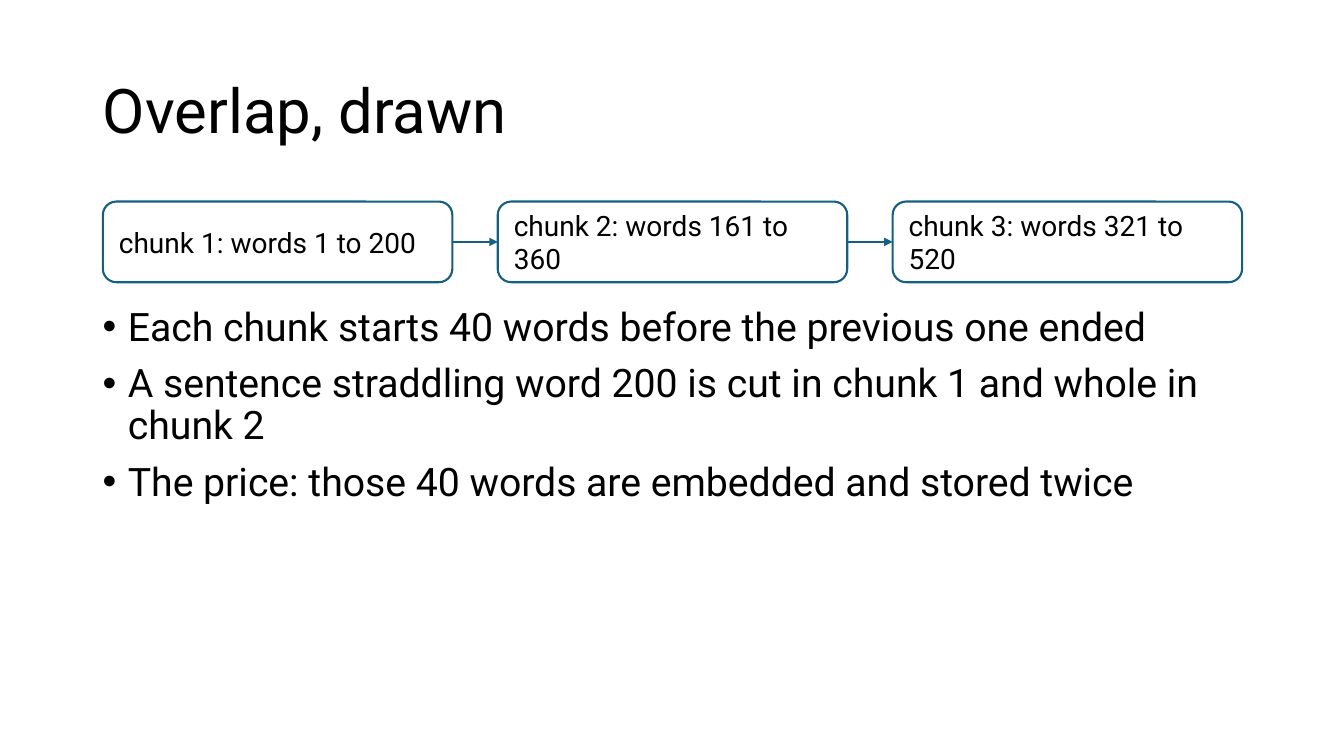
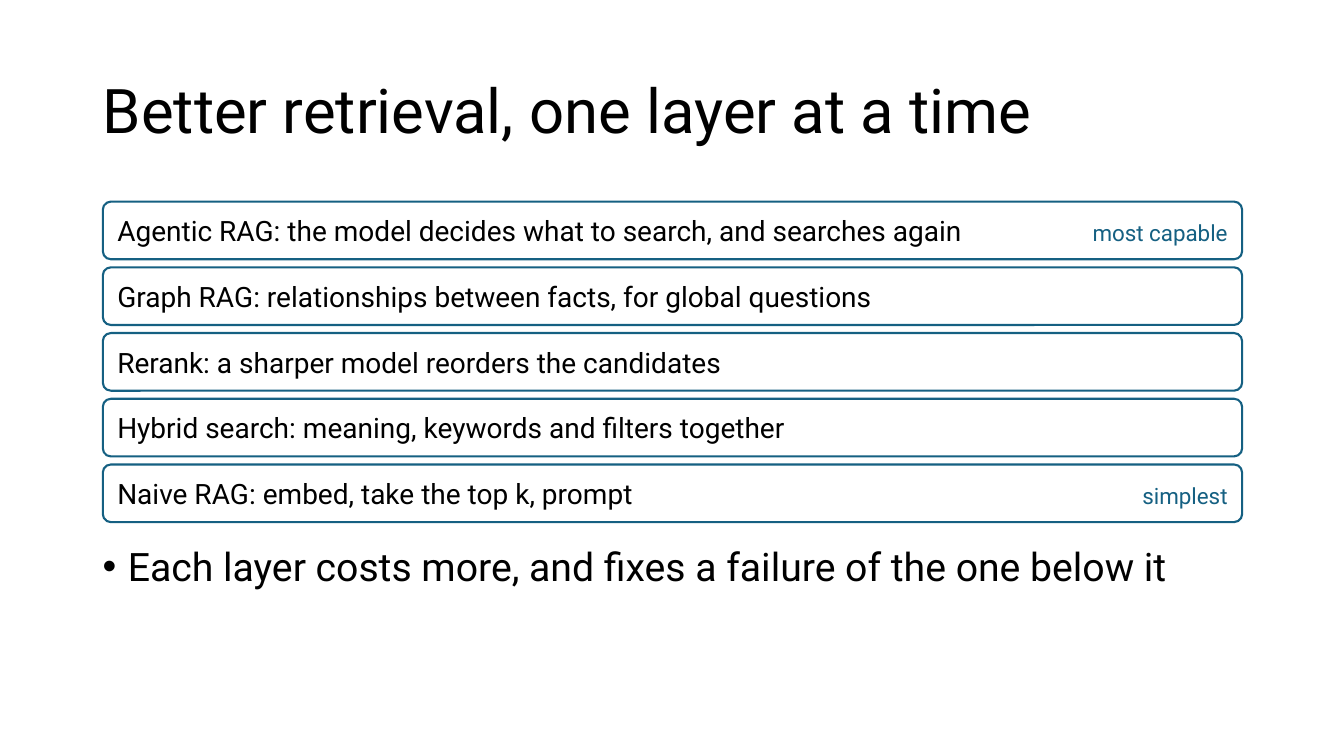
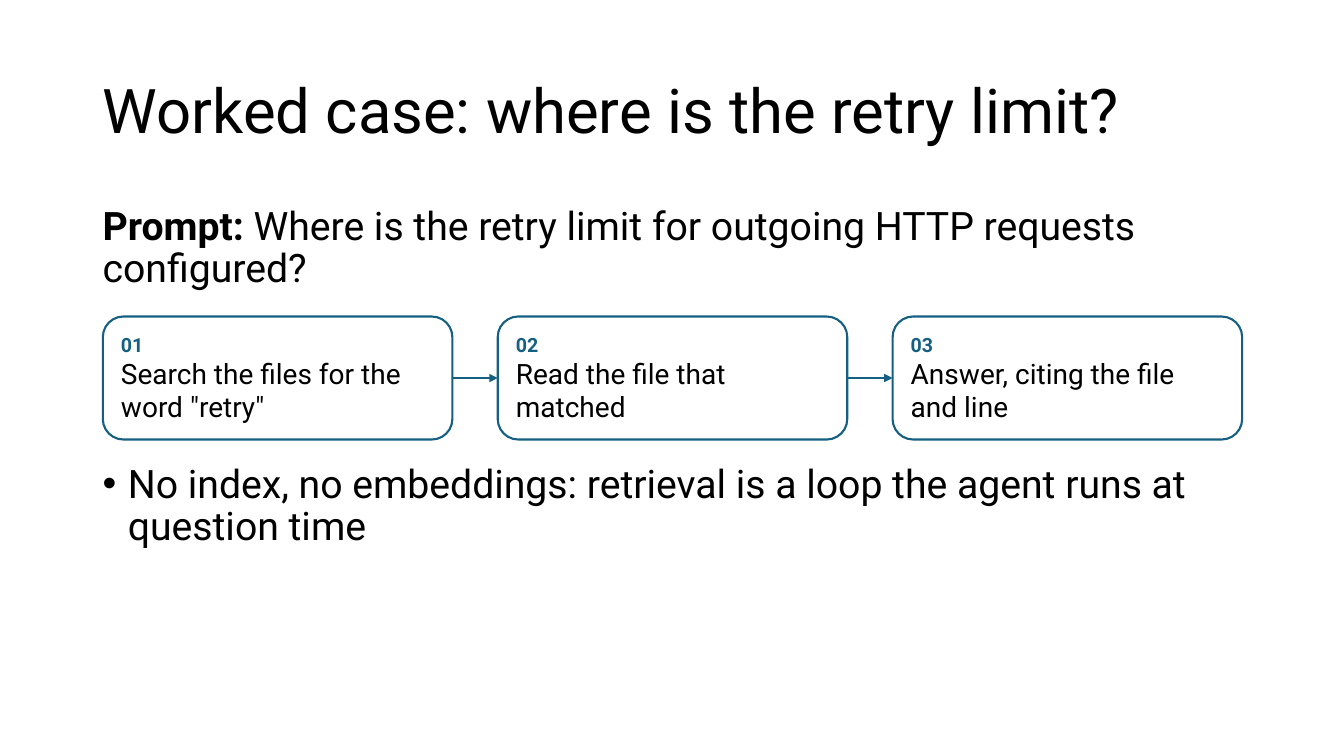
import lxml.etree
import pptx
import pptx.dml.color
import pptx.enum.shapes
import pptx.enum.text
import pptx.oxml.ns
import pptx.util

INK = pptx.dml.color.RGBColor(0x00, 0x00, 0x00)
PAPER = pptx.dml.color.RGBColor(0xFF, 0xFF, 0xFF)
ACCENT = pptx.dml.color.RGBColor(0x15, 0x60, 0x82)
FONT = "Roboto"

PAGE_WIDTH, PAGE_HEIGHT = 13.33, 7.5
TEXT_LEFT, TEXT_WIDTH = 0.92, 11.5
GRID_LEFT, GRID_WIDTH = 1.02, 11.3
CONTENT_TOP, CONTENT_BOTTOM = 2, 6.76
BLOCK_GAP, CARD_GAP, LAYER_GAP = 0.2, 0.45, 0.08
INSET_X, INSET_Y = 0.12, 0.06
INDENT = 0.25


def inches(*lengths):
    """Convert lengths in inches to drawing units."""
    return [pptx.util.Inches(length) for length in lengths]


def add_xml(parent, tag, **attributes):
    """Append a DrawingML element and return it."""
    values = {name: str(value) for name, value in attributes.items()}
    return lxml.etree.SubElement(parent, pptx.oxml.ns.qn(tag), values)


def add_span(para, text, *, size=20, color=INK, bold=False):
    """Add a run of formatted text to a paragraph."""
    span = para.add_run()
    span.text = text
    span.font.name = FONT
    span.font.size = pptx.util.Pt(size)
    span.font.color.rgb = color
    span.font.bold = bold


def next_para(frame, first):
    """Return the paragraph to fill, left aligned."""
    para = frame.paragraphs[0] if first else frame.add_paragraph()
    para.alignment = pptx.enum.text.PP_ALIGN.LEFT
    return para


def add_page(deck, title):
    """Add a title-only slide with the shared title style."""
    page = deck.slides.add_slide(deck.slide_layouts[5])
    box = page.shapes.title
    box.left, box.top, box.width, box.height = inches(TEXT_LEFT, 0.4, TEXT_WIDTH, 1.45)
    frame = box.text_frame
    frame.auto_size = pptx.enum.text.MSO_AUTO_SIZE.NONE
    frame.vertical_anchor = pptx.enum.text.MSO_ANCHOR.MIDDLE
    para = next_para(frame, True)
    para.line_spacing = 0.9
    add_span(para, title, size=44)
    return page


def add_body(page, top, bottom, paragraphs, bulleted=True):
    """Add body text, each paragraph a list of (text, bold) spans."""
    box = page.shapes.add_textbox(*inches(TEXT_LEFT, top, TEXT_WIDTH, bottom - top))
    frame = box.text_frame
    frame.word_wrap = True
    for index, spans in enumerate(paragraphs):
        para = next_para(frame, index == 0)
        if bulleted:
            properties = para._p.get_or_add_pPr()
            properties.set("marL", str(pptx.util.Inches(INDENT)))
            properties.set("indent", str(-pptx.util.Inches(INDENT)))
            add_xml(properties, "a:buFont", typeface="Arial")
            add_xml(properties, "a:buChar", char="•")
        para.line_spacing = 0.9
        if index:
            para.space_before = pptx.util.Pt(10)
        for text, bold in spans:
            add_span(para, text, size=28, bold=bold)


def add_bullets(page, top, *lines):
    """Add bulleted lines down to the foot of the content area."""
    add_body(page, top, CONTENT_BOTTOM, [[(line, False)] for line in lines])


def add_panel(group, left, top, width, height):
    """Add an outlined rounded panel for text."""
    kind = pptx.enum.shapes.MSO_SHAPE.ROUNDED_RECTANGLE
    panel = group.shapes.add_shape(kind, *inches(left, top, width, height))
    panel.shadow.inherit = False
    panel.fill.solid()
    panel.fill.fore_color.rgb = PAPER
    panel.line.color.rgb = ACCENT
    panel.line.width = pptx.util.Pt(1.5)
    frame = panel.text_frame
    frame.word_wrap = True
    frame.vertical_anchor = pptx.enum.text.MSO_ANCHOR.MIDDLE
    frame.margin_left = frame.margin_right = pptx.util.Inches(INSET_X)
    frame.margin_top = frame.margin_bottom = pptx.util.Inches(INSET_Y)
    return panel


def add_arrow(group, source, target):
    """Join two panels, left to right, with an arrow."""
    arrow = group.shapes.add_connector(
        pptx.enum.shapes.MSO_CONNECTOR.STRAIGHT,
        source.left + source.width, source.top + source.height // 2,
        target.left, target.top + target.height // 2)
    arrow.begin_connect(source, 3)
    arrow.end_connect(target, 1)
    arrow.line.color.rgb = ACCENT
    arrow.line.width = pptx.util.Pt(2)
    add_xml(arrow.line._get_or_add_ln(), "a:tailEnd", type="triangle")
    add_xml(arrow._element.spPr, "a:effectLst")


def add_flow(page, top, height, steps, numbered=False):
    """Add a row of joined cards and return the top of the next block."""
    group = page.shapes.add_group_shape()
    width = (GRID_WIDTH - CARD_GAP * (len(steps) - 1)) / len(steps)
    cards = []
    for index, step in enumerate(steps):
        left = GRID_LEFT + index * (width + CARD_GAP)
        card = add_panel(group, left, top, width, height)
        if numbered:
            para = next_para(card.text_frame, True)
            add_span(para, f"{index + 1:02d}", size=14, color=ACCENT, bold=True)
        add_span(next_para(card.text_frame, not numbered), step)
        cards.append(card)
    for source, target in zip(cards, cards[1:]):
        add_arrow(group, source, target)
    return top + height + BLOCK_GAP


def add_layers(page, top, height, layers):
    """Add a stack of (text, label) layers and return the top of the next block."""
    group = page.shapes.add_group_shape()
    layer_height = (height - LAYER_GAP * (len(layers) - 1)) / len(layers)
    for index, (text, label) in enumerate(layers):
        layer_top = top + index * (layer_height + LAYER_GAP)
        panel = add_panel(group, GRID_LEFT, layer_top, GRID_WIDTH, layer_height)
        panel.adjustments[0] = 0.14
        para = next_para(panel.text_frame, True)
        if label:
            tabs = add_xml(para._p.get_or_add_pPr(), "a:tabLst")
            position = pptx.util.Inches(GRID_WIDTH - 2 * INSET_X)
            add_xml(tabs, "a:tab", pos=position, algn="r")
        add_span(para, text)
        if label:
            add_span(para, "\t" + label, size=16, color=ACCENT)
    return top + height + BLOCK_GAP


def build_overlap(deck):
    """Build the slide on overlapping chunks."""
    page = add_page(deck, "Overlap, drawn")
    top = add_flow(page, CONTENT_TOP, 0.8, [
        "chunk 1: words 1 to 200",
        "chunk 2: words 161 to 360",
        "chunk 3: words 321 to 520"])
    add_bullets(
        page, top,
        "Each chunk starts 40 words before the previous one ended",
        "A sentence straddling word 200 is cut in chunk 1 and whole in chunk 2",
        "The price: those 40 words are embedded and stored twice")


def build_retrieval(deck):
    """Build the slide on retrieval layers."""
    page = add_page(deck, "Better retrieval, one layer at a time")
    top = add_layers(page, CONTENT_TOP, 3.18, [
        ("Agentic RAG: the model decides what to search, and searches again", "most capable"),
        ("Graph RAG: relationships between facts, for global questions", ""),
        ("Rerank: a sharper model reorders the candidates", ""),
        ("Hybrid search: meaning, keywords and filters together", ""),
        ("Naive RAG: embed, take the top k, prompt", "simplest")])
    add_bullets(page, top, "Each layer costs more, and fixes a failure of the one below it")


def build_worked_case(deck):
    """Build the slide on the worked case."""
    page = add_page(deck, "Worked case: where is the retry limit?")
    prompt_bottom = CONTENT_TOP + 0.94
    prompt = [("Prompt:", True),
              (" Where is the retry limit for outgoing HTTP requests configured?", False)]
    add_body(page, CONTENT_TOP, prompt_bottom, [prompt], bulleted=False)
    top = add_flow(page, prompt_bottom + BLOCK_GAP, 1.22, [
        'Search the files for the word "retry"',
        "Read the file that matched",
        "Answer, citing the file and line"], numbered=True)
    add_bullets(
        page, top,
        "No index, no embeddings: retrieval is a loop the agent runs at question time")


def main():
    """Build and save the deck."""
    deck = pptx.Presentation()
    deck.slide_width, deck.slide_height = inches(PAGE_WIDTH, PAGE_HEIGHT)
    build_overlap(deck)
    build_retrieval(deck)
    build_worked_case(deck)
    deck.save("out.pptx")


if __name__ == "__main__":
    main()
